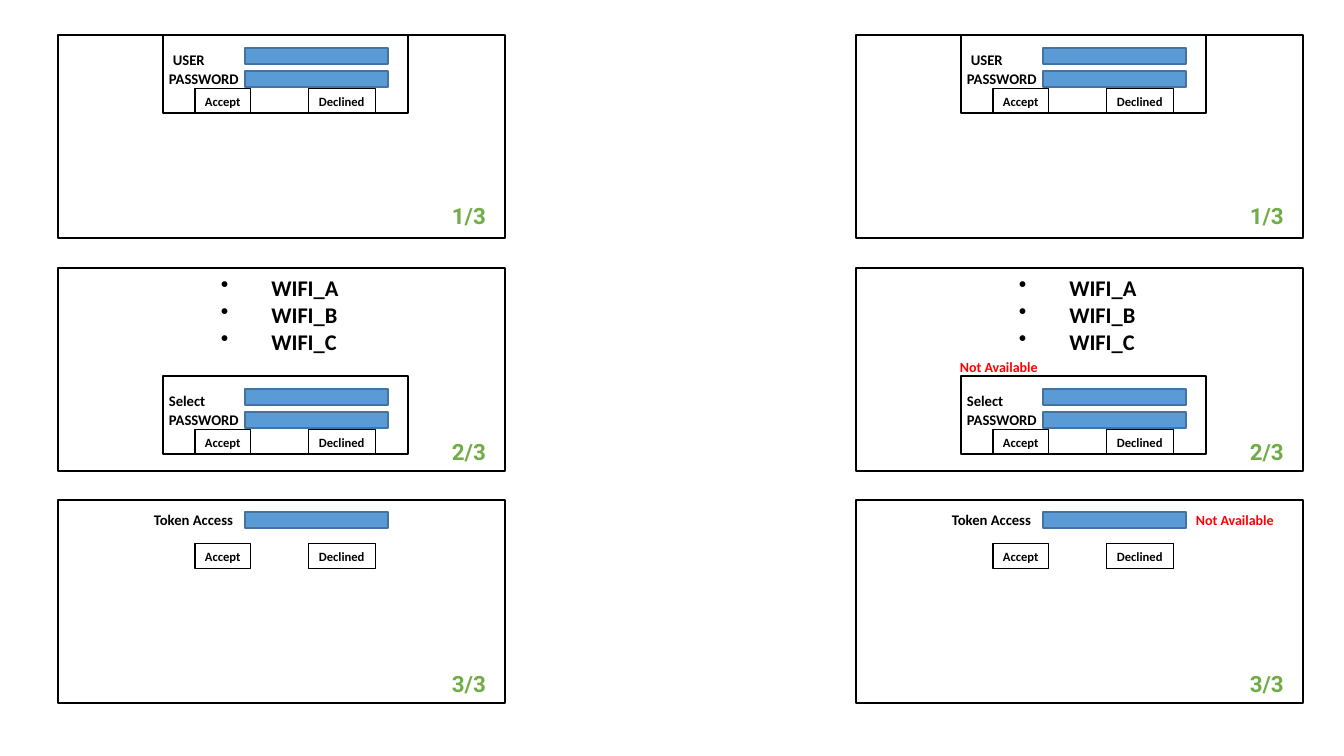
from pptx import Presentation
from pptx import util as u
from pptx.dml.color import RGBColor
from pptx.enum import shapes, text as t

PIXEL = 914400 / 100.8
BLACK = RGBColor(0, 0, 0)
WHITE = RGBColor(255, 255, 255)
BLUE = RGBColor(0x5B, 0x9B, 0xD5)
DARK_BLUE = RGBColor(0x43, 0x73, 0x9E)
GREEN = RGBColor(0x70, 0xAD, 0x47)
RED = RGBColor(255, 0, 0)


def add_box(parent, left, top, width, height, fill=WHITE, line=BLACK):
    box = [u.Emu(round(n * PIXEL)) for n in (left, top, width, height)]
    shape = parent.shapes.add_shape(shapes.MSO_SHAPE.RECTANGLE, *box)
    shape.shadow.inherit = False
    shape.fill.solid()
    shape.fill.fore_color.rgb = fill
    shape.line.color.rgb = line
    shape.line.width = u.Pt(1)


def add_text(parent, text, left, top, width, height, size=10.5, color=BLACK,
             font="Calibri", border=False, bullet=False):
    box = [u.Emu(round(n * PIXEL)) for n in (left, top, width, height)]
    shape = parent.shapes.add_textbox(*box)
    if border:
        shape.line.color.rgb = BLACK
        shape.line.width = u.Pt(0.75)
    frame = shape.text_frame
    frame.word_wrap = False
    frame.auto_size = t.MSO_AUTO_SIZE.SHAPE_TO_FIT_TEXT
    frame.text = text
    for paragraph in frame.paragraphs:
        run_font = paragraph.runs[0].font
        run_font.name = font
        run_font.size = u.Pt(size)
        run_font.bold = True
        run_font.color.rgb = color
        if bullet:
            properties = paragraph._p.get_or_add_pPr()
            properties.set("marL", str(u.Inches(0.5)))
            properties.set("indent", str(-u.Inches(0.5)))
            mark = properties.makeelement(
                "{http://schemas.openxmlformats.org/drawingml/2006/main}buChar", {"char": "•"})
            properties.append(mark)


presentation = Presentation()
presentation.slide_width = u.Emu(round(1344 * PIXEL))
presentation.slide_height = u.Emu(round(756 * PIXEL))
slide = presentation.slides.add_slide(presentation.slide_layouts[6])

# panel top, form top, dialog frame, button offset, page top, labels (text, left, offset, width)
SCREENS = [
    (35, 35, True, 54, 197, [("USER", 105, 11, 52), ("PASSWORD", 101, 30, 93)]),
    (268, 376, True, 54, 433, [("Select", 101, 11, 57), ("PASSWORD", 101, 30, 93)]),
    (500, 499, False, 45, 665, [("Token Access", 86, 7, 103)]),
]
BUTTONS = [("Accept", 137, 56), ("Declined", 251, 67)]

for column_left in (58, 856):
    for number, screen in enumerate(SCREENS, 1):
        panel_top, form_top, framed, button_offset, page_top, labels = screen
        panel = slide.shapes.add_group_shape()
        add_box(panel, column_left, panel_top, 447, 203)
        if number == 2:
            add_text(panel, "WIFI_A\nWIFI_B\nWIFI_C", column_left + 153, 269, 139, 92,
                     size=16, bullet=True)
        if framed:
            add_box(panel, column_left + 105, form_top, 245, 78)
        for row, (label, left, offset, width) in enumerate(labels):
            add_box(panel, column_left + 187, form_top + 13 + 23 * row, 143, 16,
                    fill=BLUE, line=DARK_BLUE)
            add_text(panel, label, column_left + left, form_top + offset, width, 28)
        for label, left, width in BUTTONS:
            add_text(panel, label, column_left + left, form_top + button_offset, width, 25,
                     size=9, border=True)
        add_text(slide, f"{number}/3", column_left + 384, page_top, 62, 37,
                 size=16, color=GREEN, font="Roboto")

for left, top in ((950, 354), (1186, 507)):
    add_text(slide, "Not Available", left, top, 100, 27, size=10, color=RED)

presentation.save("out.pptx")
